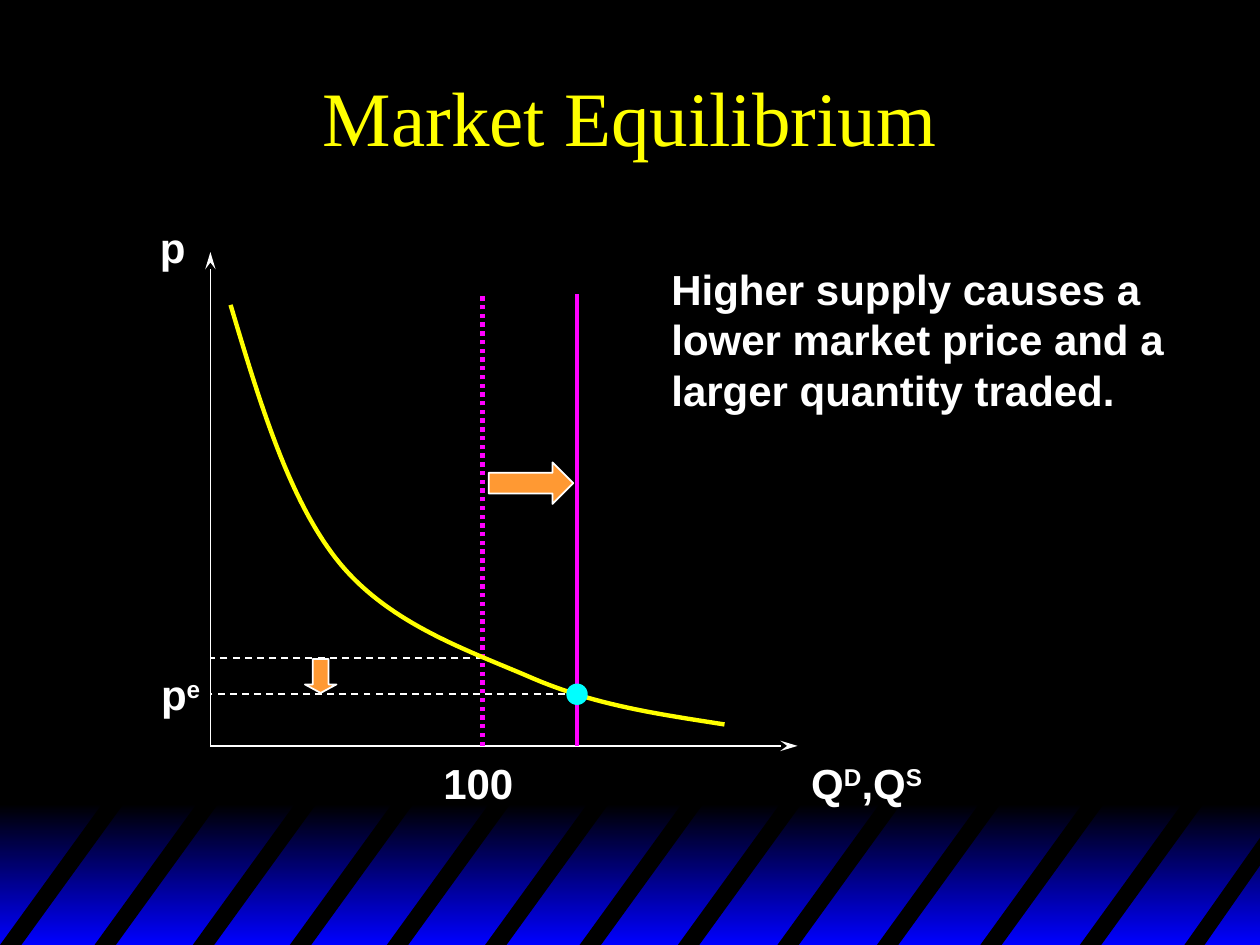
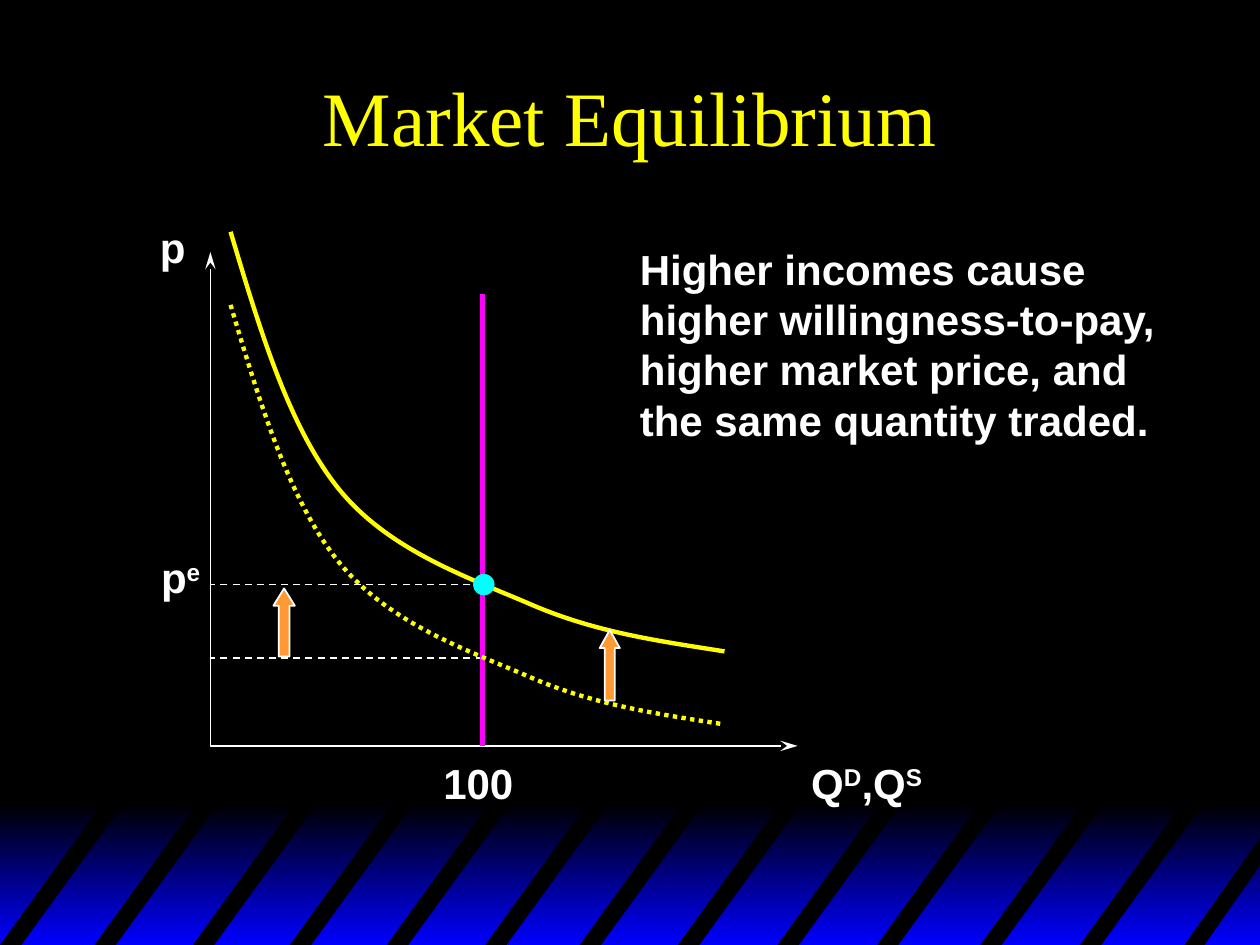
from lxml.etree import SubElement
from pptx import Presentation
from pptx.dml.color import RGBColor
from pptx.enum.dml import MSO_LINE_DASH_STYLE as Dash
from pptx.enum.shapes import MSO_CONNECTOR as Connector, MSO_SHAPE as Shape
from pptx.enum.text import MSO_ANCHOR as Anchor, MSO_AUTO_SIZE as AutoSize, PP_ALIGN as Align
from pptx.oxml.ns import qn
from pptx.util import Inches, Pt

BLACK = RGBColor(0x00, 0x00, 0x00)
BLUE = RGBColor(0x00, 0x00, 0xFF)
WHITE = RGBColor(0xFF, 0xFF, 0xFF)
YELLOW = RGBColor(0xFF, 0xFF, 0x00)
MAGENTA = RGBColor(0xFF, 0x00, 0xFF)
ORANGE = RGBColor(0xFF, 0x99, 0x33)
CYAN = RGBColor(0x00, 0xFF, 0xFF)

TITLE_FONT = {"name": "Times New Roman", "size": Pt(44), "bold": False}
LABEL_FONT = {"name": "Arial", "size": Pt(24), "bold": True}
TITLE_FRAME = {"vertical_anchor": Anchor.MIDDLE, "word_wrap": True}
LABEL_FRAME = {"word_wrap": False, "auto_size": AutoSize.SHAPE_TO_FIT_TEXT}

SLIDE_WIDTH, SLIDE_HEIGHT = 10, 7.5
STRIPE_TOP, STRIPE_WIDTH, STRIPE_LEAN = 6.34, 0.17, 0.84
STRIPE_STARTS = (0, 0.75, 1.53, 2.3, 3.07, 3.85, 4.6, 5.38, 6.17, 6.96, 7.78, 8.57)
CUT_STRIPE = ((9.4, 7.5), (10, 6.65), (10, 6.87), (9.56, 7.5))

AXIS_X, AXIS_Y = 1.67, 5.92
SUPPLY_TOP = 2.33
SUPPLY, RAISED_SUPPLY = 3.83, 4.58
PRICE, LOWER_PRICE, HIGHER_PRICE = 5.22, 5.51, 4.64
DEMAND_SHIFT = 0.58
DEMAND_CURVE = (
    (1.83, 2.42),
    (2.06, 3.19), (2.29, 3.96), (2.68, 4.45),
    (3.08, 4.95), (3.71, 5.16), (4.22, 5.38),
    (4.73, 5.6), (5.24, 5.67), (5.75, 5.75),
)


def apply_format(target, values):
    for attribute, value in values.items():
        setattr(target, attribute, value)


def set_font(font, values, color):
    apply_format(font, values)
    font.color.rgb = color


def set_line(line, color, width, dash=None):
    line.color.rgb = color
    apply_format(line, {"width": Pt(width), "dash_style": dash})


def fill_plain(shape, color):
    shape.shadow.inherit = False
    shape.fill.solid()
    shape.fill.fore_color.rgb = color
    shape.line.fill.background()


def add_outline(slide, points, close):
    start, *rest = [(Inches(x), Inches(y)) for x, y in points]
    builder = slide.shapes.build_freeform(*start)
    builder.add_line_segments(rest, close=close)
    outline = builder.convert_to_shape()
    outline.shadow.inherit = False
    return outline


def add_band(slide):
    band = slide.shapes.add_shape(
        Shape.RECTANGLE, 0, Inches(6.38), Inches(SLIDE_WIDTH), Inches(1.12))
    fill_plain(band, BLACK)
    band.fill.gradient()
    band.fill.gradient_angle = 270
    for stop, color, position in zip(band.fill.gradient_stops, (BLACK, BLUE), (0, 1)):
        stop.color.rgb = color
        stop.position = position
    stripes = [
        ((x, SLIDE_HEIGHT), (x + STRIPE_LEAN, STRIPE_TOP),
         (x + STRIPE_LEAN + STRIPE_WIDTH, STRIPE_TOP), (x + STRIPE_WIDTH, SLIDE_HEIGHT))
        for x in STRIPE_STARTS
    ]
    parts = [band]
    for corners in stripes + [CUT_STRIPE]:
        stripe = add_outline(slide, corners, close=True)
        fill_plain(stripe, BLACK)
        parts.append(stripe)
    return parts


def move_to_master(parts, master):
    for number, part in enumerate(parts, start=100):
        element = part._element
        element.nvSpPr.cNvPr.set("id", str(number))
        master.shapes._spTree.append(element)


def add_title(slide, text):
    title = slide.shapes.title
    apply_format(title, {"left": Inches(0.75), "top": Inches(0.25),
                         "width": Inches(8.5), "height": Inches(1.33)})
    apply_format(title.text_frame, TITLE_FRAME)
    paragraph = title.text_frame.paragraphs[0]
    paragraph.text = text
    paragraph.alignment = Align.CENTER
    set_font(paragraph.runs[0].font, TITLE_FONT, YELLOW)


def add_paragraph(slide, box):
    frame = slide.shapes.add_textbox(*map(Inches, box)).text_frame
    apply_format(frame, LABEL_FRAME)
    return frame.paragraphs[0]


def add_label(slide, box, *parts):
    paragraph = add_paragraph(slide, box)
    for index, part in enumerate(parts):
        run = paragraph.add_run()
        run.text = part
        set_font(run.font, LABEL_FONT, WHITE)
        if index % 2:
            run.font._element.set("baseline", "30000")


def add_note(slide, box, *lines):
    paragraph = add_paragraph(slide, box)
    paragraph.text = "\v".join(lines)
    for run in paragraph.runs:
        set_font(run.font, LABEL_FONT, WHITE)


def add_line(slide, start, end, color, width, dash=None, arrow=False):
    line = slide.shapes.add_connector(Connector.STRAIGHT, *map(Inches, start + end))
    set_line(line.line, color, width, dash)
    if arrow:
        SubElement(line.line._get_or_add_ln(), qn("a:tailEnd"),
                   type="stealth", w="med", len="lg")
    SubElement(line._element.spPr, qn("a:effectLst"))


def add_supply(slide, quantity, dash=None):
    add_line(slide, (quantity, AXIS_Y), (quantity, SUPPLY_TOP), MAGENTA, 2.5, dash)


def add_price_guide(slide, quantity, price):
    add_line(slide, (quantity, price), (AXIS_X, price), WHITE, 1, Dash.DASH)


def add_demand(slide, rise=0, dash=None):
    curve = add_outline(slide, [(x, y - rise) for x, y in DEMAND_CURVE], close=False)
    curve.fill.background()
    set_line(curve.line, YELLOW, 2.5, dash)
    outline = next(curve._element.iter(qn("a:path")))
    segments = outline.findall(qn("a:lnTo"))
    for first in range(0, len(segments), 3):
        bezier = SubElement(outline, qn("a:cubicBezTo"))
        for segment in segments[first:first + 3]:
            bezier.append(segment[0])
            outline.remove(segment)


def add_shift_arrow(slide, kind, box, head):
    arrow = slide.shapes.add_shape(kind, *map(Inches, box))
    fill_plain(arrow, ORANGE)
    set_line(arrow.line, WHITE, 1)
    arrow.adjustments[0] = 0.5
    arrow.adjustments[1] = head


def add_equilibrium(slide, quantity, price):
    size = 0.17
    dot = slide.shapes.add_shape(
        Shape.OVAL, Inches(quantity - size / 2), Inches(price - size / 2),
        Inches(size), Inches(size))
    fill_plain(dot, CYAN)


def add_market(slide, price_label_top):
    add_title(slide, "Market Equilibrium")
    add_label(slide, (1.17, 1.71, 0.42, 0.5), "p")
    add_label(slide, (6.34, 5.96, 1.1, 0.5), "Q", "D", ",Q", "S")
    add_label(slide, (1.18, price_label_top, 0.53, 0.5), "p", "e")
    add_label(slide, (3.42, 5.96, 0.8, 0.5), "100")
    add_line(slide, (AXIS_X, AXIS_Y), (AXIS_X, 2), WHITE, 1, arrow=True)
    add_line(slide, (AXIS_X, AXIS_Y), (6.33, AXIS_Y), WHITE, 1, arrow=True)
    add_price_guide(slide, SUPPLY, PRICE)


def add_supply_shift(slide):
    add_market(slide, 5.26)
    add_supply(slide, SUPPLY, Dash.ROUND_DOT)
    add_demand(slide)
    add_supply(slide, RAISED_SUPPLY)
    add_shift_arrow(slide, Shape.RIGHT_ARROW, (3.88, 3.67, 0.67, 0.33), 0.5)
    add_price_guide(slide, RAISED_SUPPLY, LOWER_PRICE)
    add_shift_arrow(slide, Shape.DOWN_ARROW, (2.42, 5.23, 0.25, 0.27), 0.27)
    add_note(slide, (5.23, 2.04, 4.15, 1.3), "Higher supply causes a",
             "lower market price and a", "larger quantity traded.")
    add_equilibrium(slide, RAISED_SUPPLY, LOWER_PRICE)


def add_demand_shift(slide):
    add_market(slide, 4.33)
    add_supply(slide, SUPPLY)
    add_demand(slide, dash=Dash.ROUND_DOT)
    add_demand(slide, rise=DEMAND_SHIFT)
    add_price_guide(slide, SUPPLY, HIGHER_PRICE)
    add_shift_arrow(slide, Shape.UP_ARROW, (4.76, 5, 0.16, 0.56), 0.9)
    add_shift_arrow(slide, Shape.UP_ARROW, (2.17, 4.67, 0.17, 0.54), 0.81)
    add_note(slide, (4.98, 1.88, 4.35, 1.7), "Higher incomes cause",
             "higher willingness-to-pay,", "higher market price, and",
             "the same quantity traded.")
    add_equilibrium(slide, SUPPLY + 0.01, HIGHER_PRICE)


def main():
    deck = Presentation()
    apply_format(deck, {"slide_width": Inches(SLIDE_WIDTH),
                        "slide_height": Inches(SLIDE_HEIGHT)})
    master = deck.slide_master
    master.background.fill.solid()
    master.background.fill.fore_color.rgb = BLACK
    title_only = deck.slide_layouts.get_by_name("Title Only")
    supply_slide, demand_slide = [deck.slides.add_slide(title_only) for _ in range(2)]
    move_to_master(add_band(supply_slide), master)
    add_supply_shift(supply_slide)
    add_demand_shift(demand_slide)
    deck.save("out.pptx")


if __name__ == "__main__":
    main()
